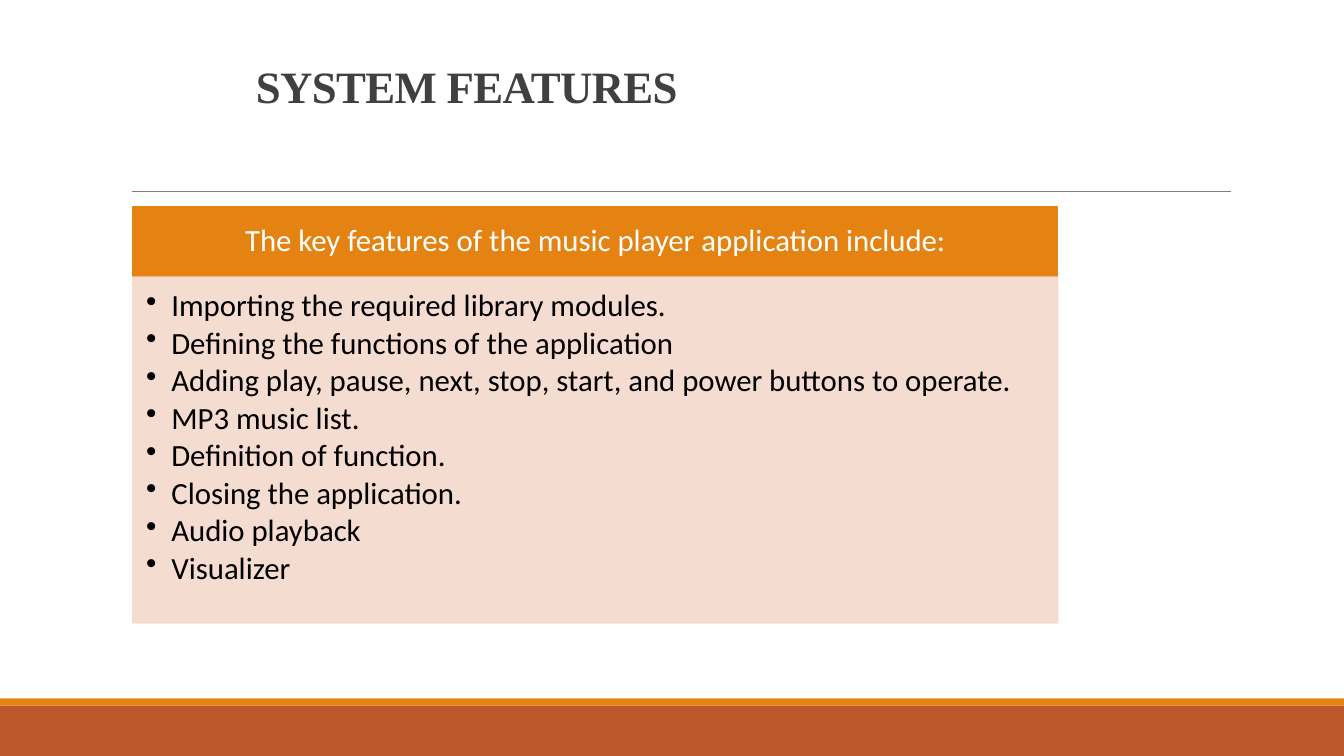
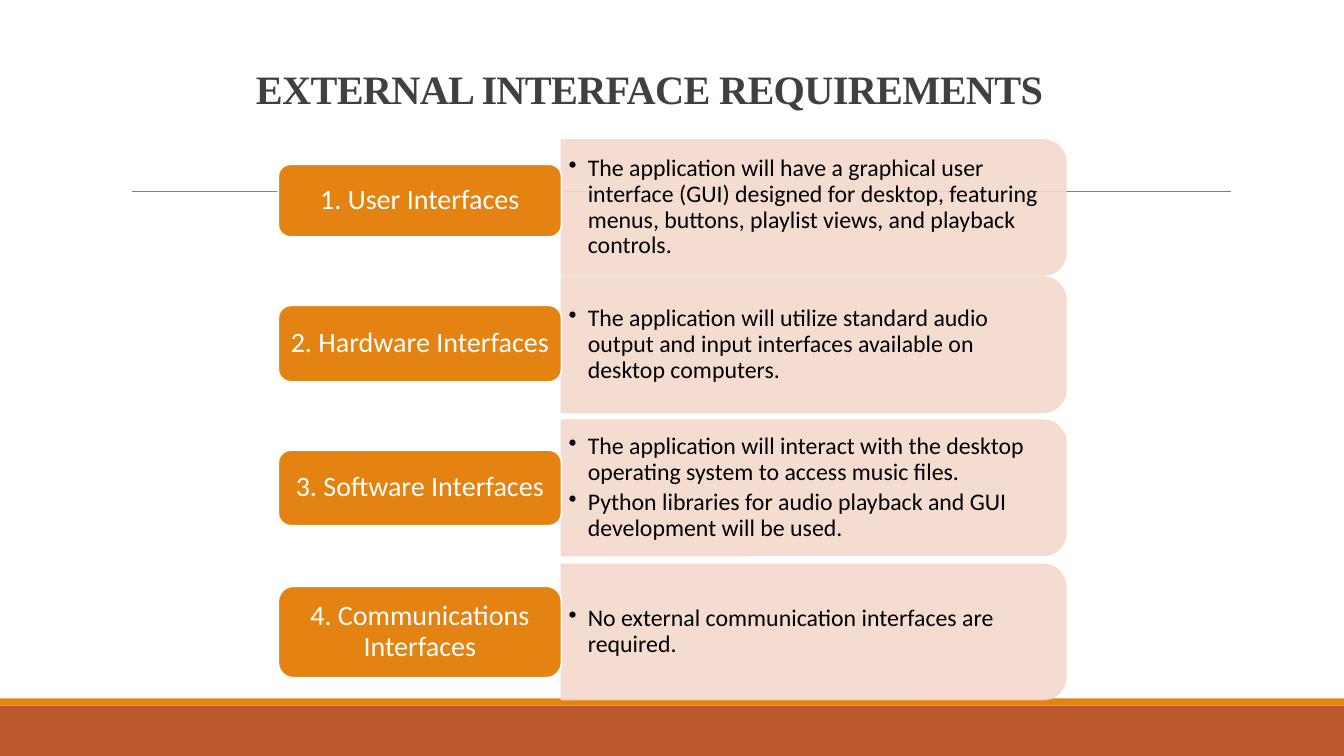
from pptx import Presentation
from pptx.dml.color import RGBColor
from pptx.enum import shapes, text
from pptx.oxml.ns import qn
from pptx.util import Inches, Pt
from lxml import etree

COLORS = {
    "band": "BD582C",
    "accent": "E48312",
    "panel": "F5D9CC",
    "rule": "808080",
    "title": "404040",
    "black": "000000",
    "white": "FFFFFF",
}
SLIDE_WIDTH, SLIDE_HEIGHT = 13.33, 7.5
PANEL_OPACITY = 90
DETAIL_LEFT, DETAIL_LENGTH, DETAIL_HEIGHT = 5.57, 5, 1.34
LABEL_LEFT, LABEL_WIDTH = 2.76, 2.81

FEATURES = [
    "Importing the required library modules.",
    "Defining the functions of the application",
    "Adding play, pause, next, stop, start, and power buttons to operate.",
    "MP3 music list.",
    "Definition of function.",
    "Closing the application.",
    "Audio playback",
    "Visualizer",
]

# Label, its height, the centre of its row, and the details beside it
INTERFACES = [
    ("1. User Interfaces", 0.72, 2.06, 1.99, [
        "The application will have a graphical user interface (GUI) designed for "
        "desktop, featuring menus, buttons, playlist views, and playback controls."]),
    ("2. Hardware Interfaces", 0.76, 3.42, 3.41, [
        "The application will utilize standard audio output and input interfaces "
        "available on desktop computers."]),
    ("3. Software Interfaces", 0.75, 4.84, 4.84, [
        "The application will interact with the desktop operating system to access "
        "music files.",
        "Python libraries for audio playback and GUI development will be used."]),
    ("4. Communications Interfaces", 0.91, 6.27, 6.27, [
        "No external communication interfaces are required."]),
]


def color(name):
    return RGBColor.from_string(COLORS[name])


def write(shape, paragraphs, *, size, ink, font="Calibri", bold=False, spacing=0.9,
          align=text.PP_ALIGN.LEFT, anchor=text.MSO_ANCHOR.MIDDLE,
          insets=(0.1, 0.05, 0.1, 0.05), bullet_indent=None, after=0, tracking=None):
    """Fill a shape with paragraphs; insets run left, top, right, bottom."""
    frame = shape.text_frame
    frame.word_wrap = True
    frame.vertical_anchor = anchor
    (frame.margin_left, frame.margin_top,
     frame.margin_right, frame.margin_bottom) = map(Inches, insets)
    for index, words in enumerate(paragraphs):
        paragraph = frame.add_paragraph() if index else frame.paragraphs[0]
        paragraph.alignment = align
        paragraph.line_spacing = spacing
        paragraph.space_after = Pt(after)
        if bullet_indent:
            properties = paragraph._p.get_or_add_pPr()
            properties.set("marL", str(Inches(bullet_indent)))
            properties.set("indent", str(-Inches(bullet_indent)))
            etree.SubElement(properties, qn("a:buChar"), char="•")
        run = paragraph.add_run()
        run.text = words
        run.font.name = font
        run.font.size = Pt(size)
        run.font.bold = bold
        run.font.color.rgb = color(ink)
        if tracking:
            run._r.get_or_add_rPr().set("spc", str(int(tracking * 100)))


def add_text(slide, box, paragraphs, **style):
    write(slide.shapes.add_textbox(*map(Inches, box)), paragraphs, **style)


def add_block(slide, kind, box, fill, outline=None, opacity=100):
    block = slide.shapes.add_shape(kind, *map(Inches, box))
    block.shadow.inherit = False
    block.fill.solid()
    block.fill.fore_color.rgb = color(fill)
    if outline:
        block.line.color.rgb = color(outline)
        block.line.width = Pt(1.25)
    else:
        block.line.fill.background()
    if opacity < 100:
        for tint in block._element.spPr.iter(qn("a:srgbClr")):
            etree.SubElement(tint, qn("a:alpha"), val=str(opacity * 1000))
    return block


def add_rule(slide, left, right, y):
    rule = slide.shapes.add_connector(
        shapes.MSO_CONNECTOR.STRAIGHT, *map(Inches, (left, y, right, y)))
    rule.line.color.rgb = color("rule")
    rule.line.width = Pt(0.5)
    etree.SubElement(rule._element.spPr, qn("a:effectLst"))


def add_titled_slide(deck, title, size):
    """Start a slide with the shared footer bands, rule and title."""
    slide = deck.slides.add_slide(deck.slide_layouts[6])
    rectangle = shapes.MSO_SHAPE.RECTANGLE
    add_block(slide, rectangle, (0, 7, SLIDE_WIDTH, 0.5), "band")
    add_block(slide, rectangle, (0, 6.93, SLIDE_WIDTH, 0.07), "accent")
    add_rule(slide, 1.31, 12.21, 1.9)
    add_text(slide, (2.44, 0.18, 8.45, 0.99), [title], size=size, ink="title",
             font="Times New Roman", bold=True, spacing=0.85,
             anchor=text.MSO_ANCHOR.BOTTOM, tracking=-0.5)
    return slide


def add_feature_list(slide):
    left, width = 1.32, 9.17
    rectangle = shapes.MSO_SHAPE.RECTANGLE
    heading = add_block(slide, rectangle, (left, 2.05, width, 0.69), "accent", "accent")
    write(heading, ["The key features of the music player application include:"],
          size=22, ink="white", align=text.PP_ALIGN.CENTER)
    panel = add_block(slide, rectangle, (left, 2.75, width, 3.43), "panel", "panel",
                      PANEL_OPACITY)
    write(panel, FEATURES, size=22, ink="black", anchor=text.MSO_ANCHOR.TOP,
          insets=(0.13, 0.13, 0.17, 0.19), bullet_indent=0.25, after=3)


def add_interface(slide, name, label_height, detail_center, label_center, details):
    # The bar is turned a quarter so that its rounded end faces right
    bar_box = (DETAIL_LEFT + (DETAIL_LENGTH - DETAIL_HEIGHT) / 2,
               detail_center - DETAIL_LENGTH / 2, DETAIL_HEIGHT, DETAIL_LENGTH)
    bar = add_block(slide, shapes.MSO_SHAPE.ROUND_2_SAME_RECTANGLE, bar_box,
                    "panel", "panel", PANEL_OPACITY)
    bar.rotation = 90
    add_text(slide, (DETAIL_LEFT, detail_center - 0.6, 4.93, 1.2), details,
             size=17, ink="black", insets=(0.07, 0.04, 0.07, 0.04),
             bullet_indent=0.19, after=3)
    label = add_block(slide, shapes.MSO_SHAPE.ROUNDED_RECTANGLE,
                      (LABEL_LEFT, label_center - label_height / 2,
                       LABEL_WIDTH, label_height), "accent", "white")
    write(label, [name], size=20, ink="white", align=text.PP_ALIGN.CENTER,
          insets=(0.06, 0.04, 0.06, 0.04))


def main():
    deck = Presentation()
    deck.slide_width = Inches(SLIDE_WIDTH)
    deck.slide_height = Inches(SLIDE_HEIGHT)

    add_feature_list(add_titled_slide(deck, "SYSTEM FEATURES", 32))

    requirements = add_titled_slide(deck, "EXTERNAL INTERFACE REQUIREMENTS", 28.8)
    for interface in INTERFACES:
        add_interface(requirements, *interface)

    deck.save("out.pptx")


if __name__ == "__main__":
    main()
